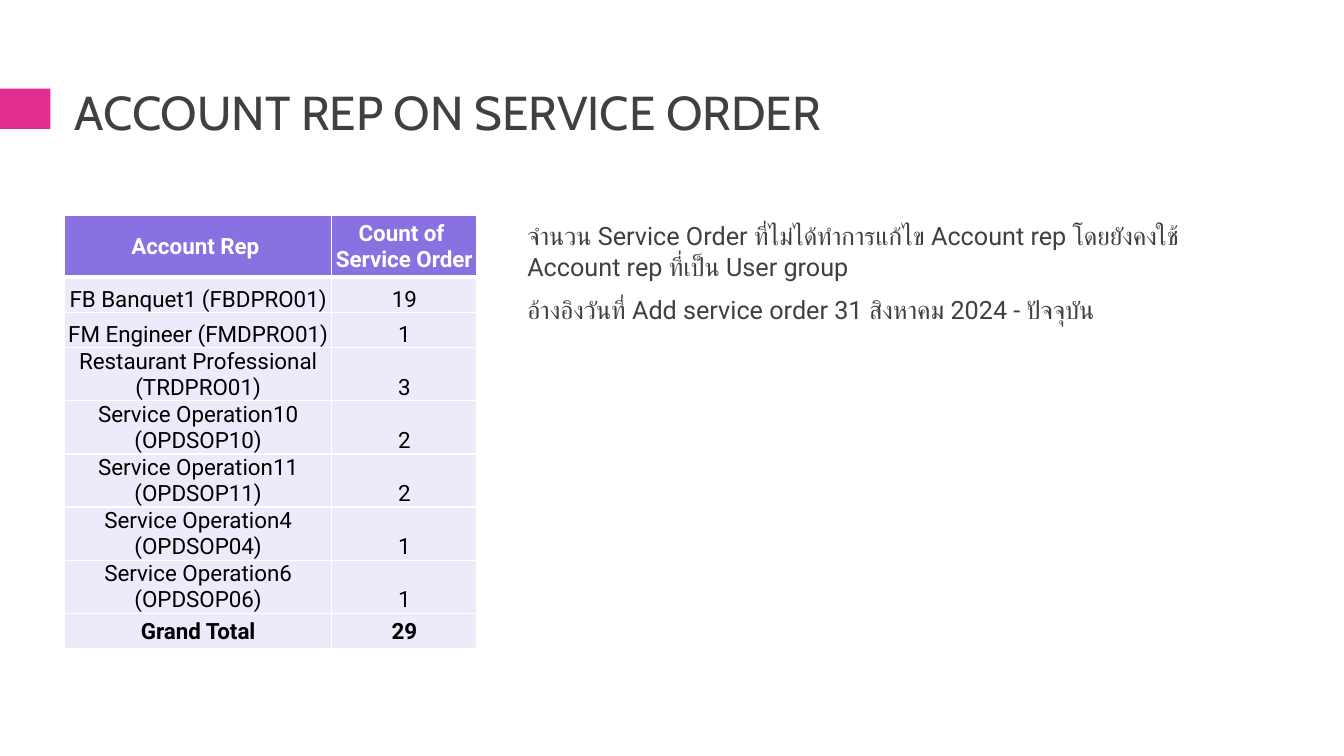
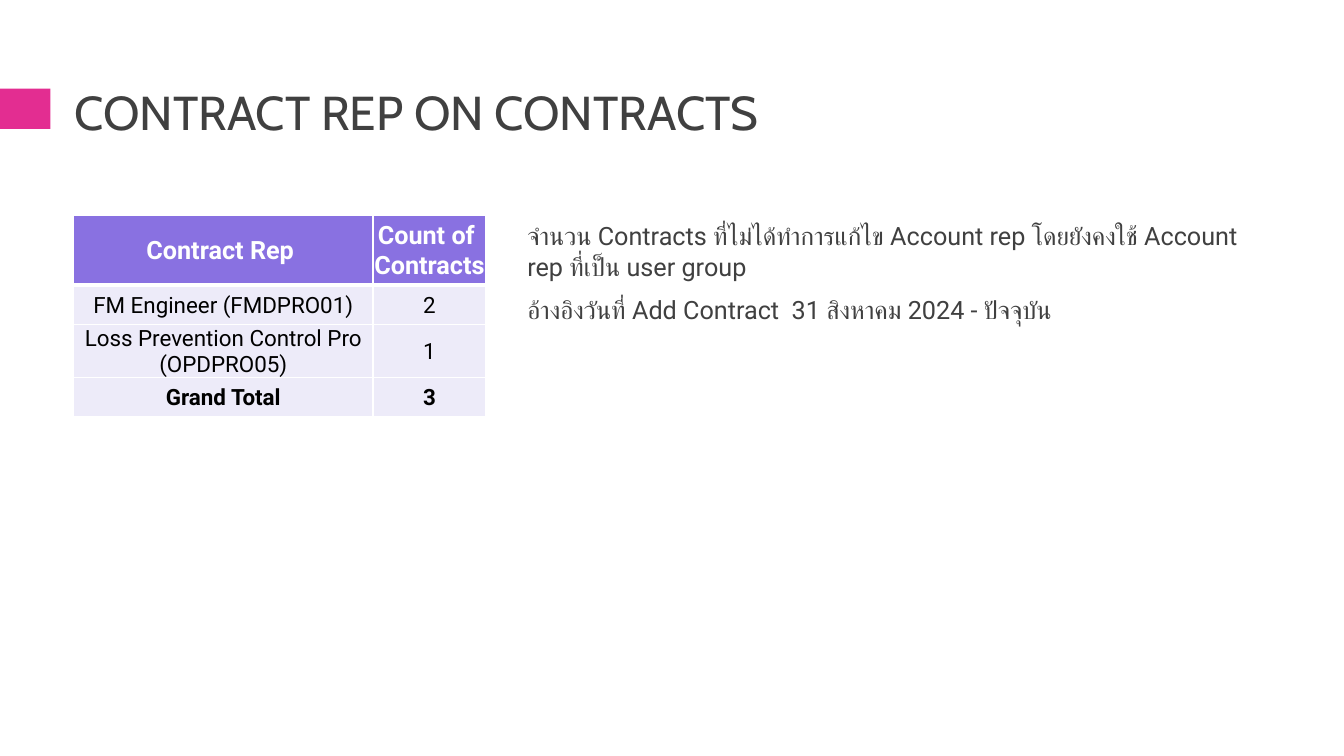
from lxml import etree
from pptx import Presentation
from pptx.dml.color import RGBColor
from pptx.enum.shapes import MSO_SHAPE
from pptx.enum.text import MSO_ANCHOR, MSO_AUTO_SIZE, PP_ALIGN
from pptx.oxml.ns import qn
from pptx.util import Emu, Pt

RECTANGLE = MSO_SHAPE.RECTANGLE
LEFT, CENTER = PP_ALIGN.LEFT, PP_ALIGN.CENTER
MIDDLE, BOTTOM = MSO_ANCHOR.MIDDLE, MSO_ANCHOR.BOTTOM
NO_AUTOFIT = MSO_AUTO_SIZE.NONE

EMU_PER_PX = 9144  # 100 px to the inch
PINK, PURPLE, LAVENDER = "E32D91", "8971E1", "EDEBF9"
WHITE, BLACK, GREY = "FFFFFF", "000000", "404040"
TITLE_FONT, TEXT_FONT = "Cabin", "Roboto"
SLIDE_SIZE = (1333, 750)
ACCENT_BOX = (0, 88, 50, 40)
TITLE_BOX = (64, 77, 1206, 81)
BODY_BOX = (513, 214, 756, 489)
TABLE_TOP = 214

SLIDES = [
    {
        "title": "ACCOUNT REP ON SERVICE ORDER",
        "body": [
            "จำนวน Service Order ที่ไม่ได้ทำการแก้ไข Account rep โดยยังคงใช้ Account rep ที่เป็น User group",
            "อ้างอิงวันที่ Add service order 31 สิงหาคม 2024 - ปัจจุบัน",
        ],
        "left": 64,
        "columns": (265, 144),
        "header_height": 61,
        "row_height": 35,
        "header_size": 16,
        "row_anchor": BOTTOM,
        "rows": [
            ("Account Rep ", "Count of \nService Order"),
            ("FB Banquet1 (FBDPRO01)", "19"),
            ("FM Engineer (FMDPRO01)", "1"),
            ("Restaurant Professional (TRDPRO01)", "3"),
            ("Service Operation10 (OPDSOP10)", "2"),
            ("Service Operation11 (OPDSOP11)", "2"),
            ("Service Operation4 (OPDSOP04)", "1"),
            ("Service Operation6 (OPDSOP06)", "1"),
            ("Grand Total", "29"),
        ],
    },
    {
        "title": "CONTRACT REP ON CONTRACTS",
        "body": [
            "จำนวน Contracts ที่ไม่ได้ทำการแก้ไข Account rep โดยยังคงใช้ Account rep ที่เป็น user group",
            "อ้างอิงวันที่ Add Contract  31 สิงหาคม 2024 - ปัจจุบัน",
        ],
        "left": 73,
        "columns": (297, 112),
        "header_height": 69,
        "row_height": 39,
        "header_size": 18,
        "row_anchor": MIDDLE,
        "rows": [
            ("Contract Rep ", "Count of \nContracts"),
            ("FM Engineer (FMDPRO01)", "2"),
            ("Loss Prevention Control Pro (OPDPRO05)", "1"),
            ("Grand Total", "3"),
        ],
    },
]


def px(length):
    return Emu(length * EMU_PER_PX)


def color(hex_string):
    return RGBColor.from_string(hex_string)


def place(shape, box):
    shape.left, shape.top, shape.width, shape.height = map(px, box)


def write(frame, lines, font, size, hex_color, bold=False, align=LEFT):
    """Fill a text frame with one paragraph per line and return the paragraphs."""
    for index, line in enumerate(lines):
        paragraph = frame.add_paragraph() if index else frame.paragraphs[0]
        paragraph.alignment = align
        run = paragraph.add_run()
        run.text = line
        run.font.name, run.font.size, run.font.bold = font, Pt(size), bold
        run.font.color.rgb = color(hex_color)
    return frame.paragraphs


def set_borders(cell, bottom_width):
    properties = cell._tc.get_or_add_tcPr()
    for tag, points in (("lnL", 1), ("lnR", 1), ("lnT", 1), ("lnB", bottom_width)):
        line = etree.SubElement(properties, qn(f"a:{tag}"), w=str(Pt(points)))
        fill = etree.SubElement(line, qn("a:solidFill"))
        etree.SubElement(fill, qn("a:srgbClr"), val=WHITE)


def prepare_layout(layout):
    """Place the title and body, and drop the unused date, footer and number."""
    title, body, *unused = layout.placeholders
    place(title, TITLE_BOX)
    place(body, BODY_BOX)
    for placeholder in unused:
        layout.shapes.element.remove(placeholder.element)


def add_accent(slide):
    accent = slide.shapes.add_shape(RECTANGLE, *map(px, ACCENT_BOX))
    accent.shadow.inherit = False
    accent.fill.solid()
    accent.fill.fore_color.rgb = color(PINK)
    accent.line.fill.background()


def add_count_table(slide, content):
    rows, columns = content["rows"], content["columns"]
    heights = [content["header_height"]] + [content["row_height"]] * (len(rows) - 1)
    box = (content["left"], TABLE_TOP, sum(columns), sum(heights))
    table = slide.shapes.add_table(len(rows), len(columns), *map(px, box)).table
    for column, width in zip(table.columns, columns):
        column.width = px(width)
    last = len(rows) - 1
    for row_index, (texts, height) in enumerate(zip(rows, heights)):
        table.rows[row_index].height = px(height)
        header, total = row_index == 0, row_index == last
        for column_index, text in enumerate(texts):
            cell = table.cell(row_index, column_index)
            cell.margin_left = cell.margin_right = cell.margin_top = px(1)
            cell.margin_bottom = 0
            cell.vertical_anchor = MIDDLE if header or total else content["row_anchor"]
            set_borders(cell, 3 if header else 1)
            cell.fill.solid()
            cell.fill.fore_color.rgb = color(PURPLE if header else LAVENDER)
            write(cell.text_frame, text.split("\n"), TEXT_FONT,
                  content["header_size"] if header else 16,
                  WHITE if header else BLACK, header or total, CENTER)


def fill_title(slide, text):
    frame = slide.shapes.title.text_frame
    frame.auto_size = NO_AUTOFIT
    frame.vertical_anchor = MIDDLE
    frame.margin_bottom = px(11)
    write(frame, [text], TITLE_FONT, 34, GREY)[0].line_spacing = 0.85


def fill_body(slide, lines):
    frame = slide.placeholders[1].text_frame
    frame.auto_size = NO_AUTOFIT
    for paragraph in write(frame, lines, TEXT_FONT, 18, GREY):
        paragraph.space_after = Pt(6)
        properties = paragraph._p.get_or_add_pPr()
        properties.set("marL", "0")
        properties.set("indent", "0")
        etree.SubElement(properties, qn("a:buNone"))


def main():
    presentation = Presentation()
    presentation.slide_width, presentation.slide_height = map(px, SLIDE_SIZE)
    layout = presentation.slide_layouts[1]
    prepare_layout(layout)
    for content in SLIDES:
        slide = presentation.slides.add_slide(layout)
        add_accent(slide)
        add_count_table(slide, content)
        fill_body(slide, content["body"])
        fill_title(slide, content["title"])
    presentation.save("out.pptx")


if __name__ == "__main__":
    main()
